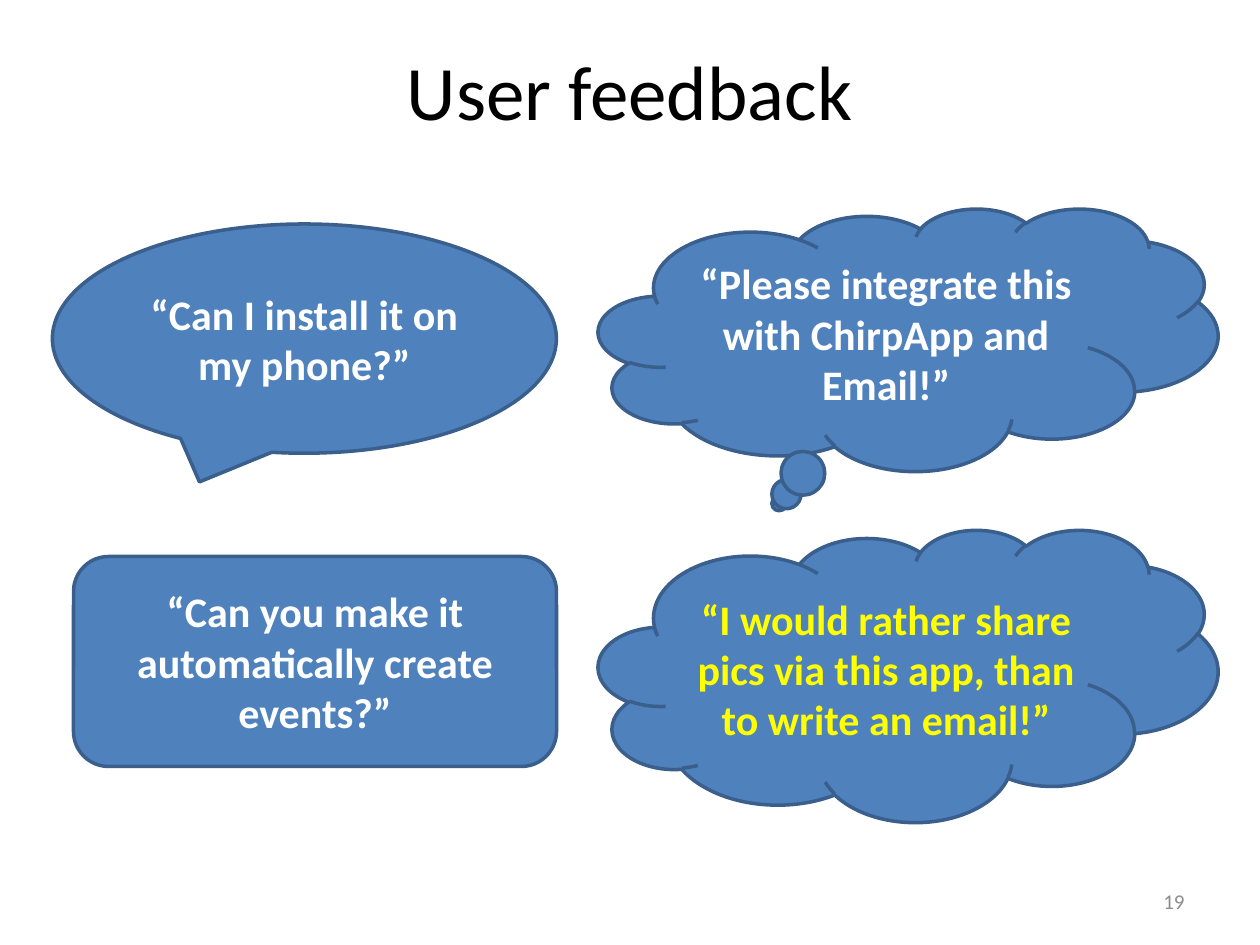
from dataclasses import dataclass

from pptx import Presentation
from pptx import util as u
from pptx.dml.color import RGBColor
from pptx.enum import shapes, text

FONT = "Calibri"
BLACK = RGBColor(0x00, 0x00, 0x00)
GRAY = RGBColor(0x8C, 0x8C, 0x8C)
WHITE = RGBColor(0xFF, 0xFF, 0xFF)
YELLOW = RGBColor(0xFF, 0xFF, 0x00)
BLUE = RGBColor(0x4F, 0x81, 0xBD)
DARK_BLUE = RGBColor(0x3A, 0x5F, 0x8C)

SHAPE = shapes.MSO_SHAPE
ALIGN = text.PP_ALIGN


@dataclass(frozen=True)
class Box:
    """Left, top, width and height in points."""
    x: float
    y: float
    w: float
    h: float

    def lengths(self) -> list[u.Pt]:
        return [u.Pt(v) for v in (self.x, self.y, self.w, self.h)]


@dataclass(frozen=True)
class Quote:
    kind: SHAPE
    box: Box
    words: str
    color: RGBColor = WHITE
    space_after: float = 12


QUOTES = [
    Quote(SHAPE.OVAL_CALLOUT, Box(30, 128, 288, 131),
          "“Can I install it on my phone?”"),
    Quote(SHAPE.CLOUD_CALLOUT, Box(342, 119, 354, 150),
          "“Please integrate this with ChirpApp and Email!”"),
    Quote(SHAPE.FLOWCHART_ALTERNATE_PROCESS, Box(42, 318, 276, 120),
          "“Can you make it automatically create events?”"),
    Quote(SHAPE.CLOUD, Box(342, 302.5, 354, 167),
          "“I would rather share pics via this app, than to write an email!”",
          YELLOW, 0),
]


def write(s, words: str, size: float, color: RGBColor,
          align: ALIGN = ALIGN.CENTER, bold: bool = False):
    """Fill a shape with one vertically centred paragraph and return it."""
    tf = s.text_frame
    tf.word_wrap = True
    tf.vertical_anchor = text.MSO_ANCHOR.MIDDLE
    tf.text = words
    p = tf.paragraphs[0]
    p.alignment = align
    r = p.runs[0]
    r.font.name = FONT
    r.font.size = u.Pt(size)
    r.font.bold = bold
    r.font.color.rgb = color
    return p


def add_label(slide, box: Box, words: str, size: float, color: RGBColor,
              align: ALIGN = ALIGN.CENTER) -> None:
    s = slide.shapes.add_textbox(*box.lengths())
    write(s, words, size, color, align)


def add_quote(slide, quote: Quote) -> None:
    s = slide.shapes.add_shape(quote.kind, *quote.box.lengths())
    s.shadow.inherit = False
    s.fill.solid()
    s.fill.fore_color.rgb = BLUE
    s.line.color.rgb = DARK_BLUE
    s.line.width = u.Pt(2)
    p = write(s, quote.words, 24, quote.color, bold=True)
    p.space_after = u.Pt(quote.space_after)


def main() -> None:
    prs = Presentation()
    prs.slide_width, prs.slide_height = u.Pt(720), u.Pt(540)
    slide = prs.slides.add_slide(prs.slide_layouts[6])
    add_label(slide, Box(36, 6, 648, 90), "User feedback", 44, BLACK)
    add_label(slide, Box(516, 500.5, 168, 28.75), "19", 12, GRAY, ALIGN.RIGHT)
    for quote in QUOTES:
        add_quote(slide, quote)
    prs.save("out.pptx")


if __name__ == "__main__":
    main()
